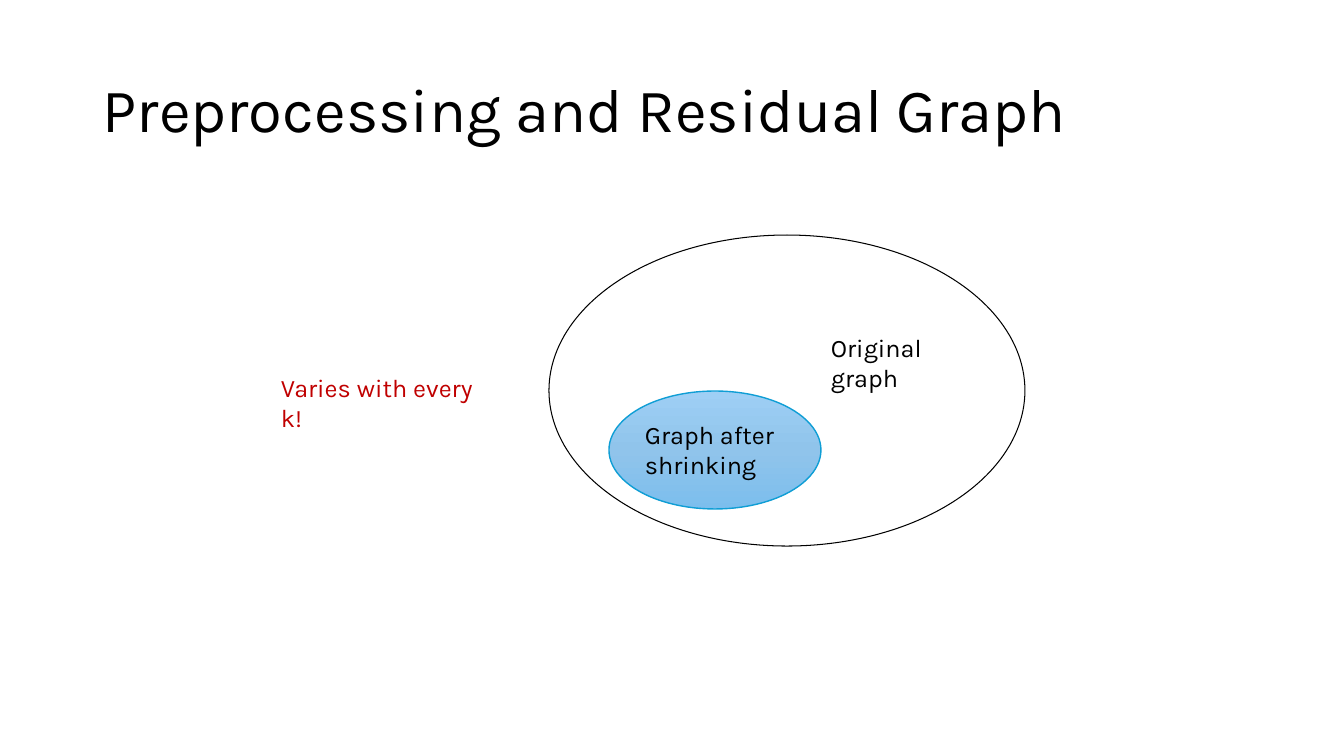
import copy
import pptx
import pptx.util
import pptx.dml.color
import pptx.enum.shapes
import pptx.enum.text

RGB = pptx.dml.color.RGBColor
BLACK = RGB(0x00, 0x00, 0x00)
RED = RGB(0xC0, 0x00, 0x00)
EDGE = RGB(0x0F, 0x9E, 0xD5)
BLUES = {0: RGB(0x9E, 0xCF, 0xF5), 0.5: RGB(0x90, 0xC4, 0xEB), 1: RGB(0x7C, 0xBE, 0xED)}
SCALE = 914400 / 100.8
ANCHOR = pptx.enum.text.MSO_ANCHOR


def emu(*sizes):
    """Turn px into EMU."""
    return [round(size * SCALE) for size in sizes]


def write(slide, box, text, size=18, color=BLACK, anchor=ANCHOR.TOP, space=1.0):
    """Place wrapped text in a box."""
    frame = slide.shapes.add_textbox(*emu(*box)).text_frame
    para = frame.paragraphs[0]
    run = para.add_run()
    formats = [
        (frame, {"word_wrap": True, "vertical_anchor": anchor}),
        (para, {"line_spacing": space}),
        (run, {"text": text}),
        (run.font, {"name": "Karla", "size": pptx.util.Pt(size)}),
        (run.font.color, {"rgb": color}),
    ]
    for item, values in formats:
        for key, value in values.items():
            setattr(item, key, value)


def oval(slide, box, color, width):
    """Draw an unfilled ellipse."""
    shape = slide.shapes.add_shape(pptx.enum.shapes.MSO_SHAPE.OVAL, *emu(*box))
    shape.shadow.inherit = False
    shape.fill.background()
    shape.line.color.rgb = color
    shape.line.width = pptx.util.Pt(width)
    return shape


def shade(shape):
    """Fill a shape with the blue gradient from top to bottom."""
    fill = shape.fill
    fill.gradient()
    fill.gradient_angle = 270
    first = shape.element.xpath(".//a:gs")[0]
    first.addnext(copy.deepcopy(first))
    for stop, (place, color) in zip(fill.gradient_stops, BLUES.items()):
        stop.position = place
        stop.color.rgb = color


def graphs(slide, left, top, width, height):
    """Draw the original graph with the shrunken one inside."""
    oval(slide, (left, top, width, height), BLACK, 0.75)
    shade(oval(slide, (left + 60, top + 156, 212, 118), EDGE, 1))
    write(slide, (left + 272, top + 92, 173, 40), "Original graph")
    write(slide, (left + 86, top + 179, 160, 72), "Graph after shrinking")


def main():
    """Build and save the slide."""
    deck = pptx.Presentation()
    deck.slide_width, deck.slide_height = emu(1344, 756)
    slide = deck.slides.add_slide(deck.slide_layouts[6])
    write(slide, (93, 40, 1159, 146), "Preprocessing and Residual Graph",
          size=44, anchor=ANCHOR.MIDDLE, space=0.9)
    graphs(slide, 549, 235, 476, 311)
    write(slide, (271, 367, 228, 40), "Varies with every k!", color=RED)
    deck.save("out.pptx")


if __name__ == "__main__":
    main()
